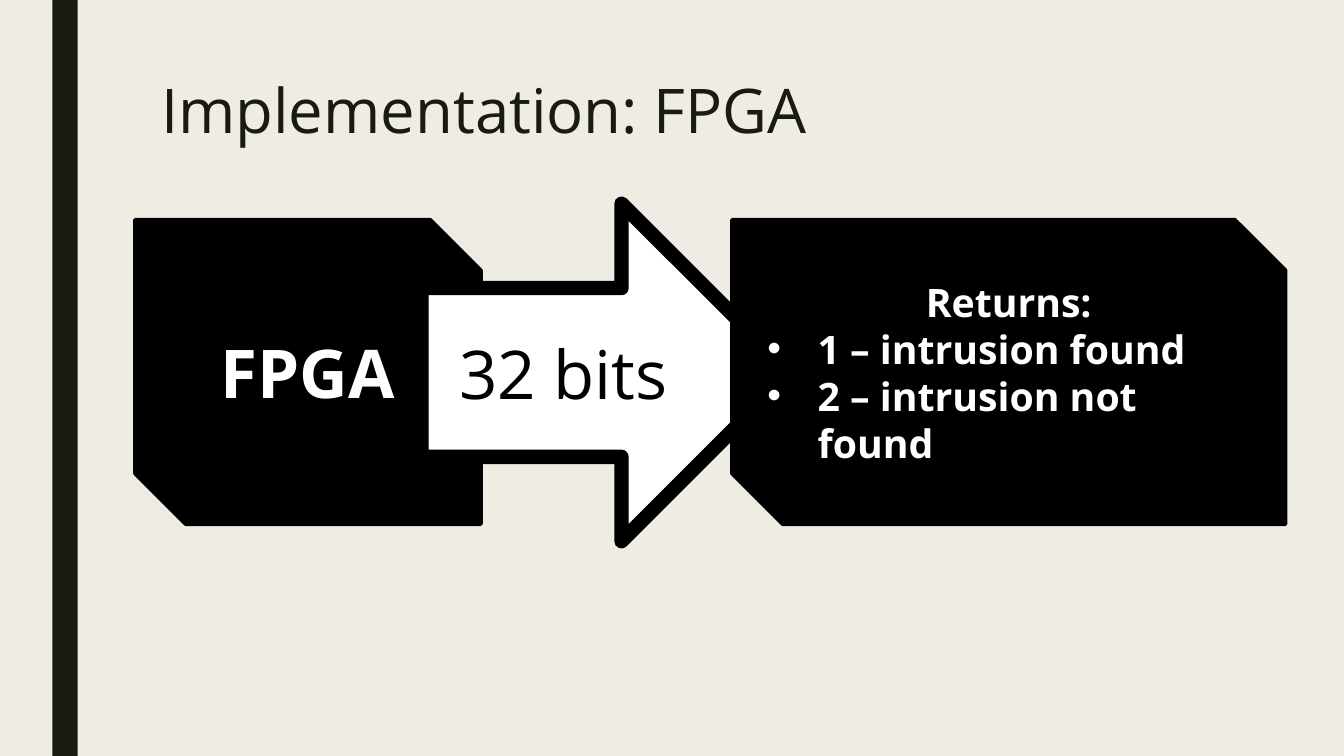
from pptx import Presentation
from pptx.dml.color import RGBColor
from pptx.enum.shapes import MSO_SHAPE
from pptx.enum.text import MSO_ANCHOR, MSO_AUTO_SIZE, PP_ALIGN
from pptx.oxml.ns import qn
from pptx.util import Inches, Pt
from lxml.etree import SubElement

"""Build the FPGA implementation slide."""

CREAM = RGBColor(0xEF, 0xED, 0xE3)
DARK = RGBColor(0x19, 0x1B, 0x0E)
BLACK = RGBColor(0, 0, 0)
WHITE = RGBColor(255, 255, 255)
FONT = "Open Sans"

TITLE = "Implementation: FPGA"
SNIP, ARROW = MSO_SHAPE.SNIP_2_DIAG_RECTANGLE, MSO_SHAPE.RIGHT_ARROW
STEPS = [
    (SNIP, (1.34, 2.18, 3.43, 3.02), BLACK, 2.75, WHITE, 48, True, "FPGA", []),
    (ARROW, (4.18, 2.02, 3.66, 3.35), WHITE, 10.25, BLACK, 48, False, "32 bits", []),
    (SNIP, (7.26, 2.18, 5.49, 3.02), BLACK, 2.75, WHITE, 28, True, "Returns:",
     ["1 – intrusion found", "2 – intrusion not found"]),
]


def style(para, size, color, bold=False):
    for run in para.runs:
        font = run.font
        font.name, font.size, font.bold = FONT, Pt(size), bold
        font.color.rgb = color


def bullet(para):
    para.alignment = PP_ALIGN.LEFT
    props = para._p.get_or_add_pPr()
    props.set("marL", str(Inches(0.5)))
    props.set("indent", str(Inches(-0.5)))
    SubElement(props, qn("a:buFont")).set("typeface", "Arial")
    SubElement(props, qn("a:buChar")).set("char", "•")


def add_box(kind, box, fill):
    shape = slide.shapes.add_shape(kind, *map(Inches, box))
    shape.shadow.inherit = False
    shape.fill.solid()
    shape.fill.fore_color.rgb = fill
    return shape


def add_step(kind, box, fill, width, ink, size, bold, head, items):
    shape = add_box(kind, box, fill)
    shape.line.color.rgb = BLACK
    shape.line.width = Pt(width)
    SubElement(shape.line._get_or_add_ln(), qn("a:round"))
    frame = shape.text_frame
    frame.word_wrap = True
    frame.vertical_anchor = MSO_ANCHOR.MIDDLE
    frame.text = head
    frame.paragraphs[0].alignment = PP_ALIGN.CENTER
    for item in items:
        para = frame.add_paragraph()
        para.text = item
        bullet(para)
    for para in frame.paragraphs:
        style(para, size, ink, bold)


deck = Presentation()
deck.slide_width, deck.slide_height = Inches(13.33), Inches(7.5)
slide = deck.slides.add_slide(deck.slide_layouts[5])
slide.background.fill.solid()
slide.background.fill.fore_color.rgb = CREAM

add_box(MSO_SHAPE.RECTANGLE, (0.52, 0, 0.25, 7.5), DARK).line.fill.background()

title = slide.shapes.title
title.left, title.top, title.width, title.height = map(Inches, (1.5, 0.75, 10.5, 1.62))
frame = title.text_frame
frame.text = TITLE
frame.auto_size = MSO_AUTO_SIZE.NONE
frame.vertical_anchor = MSO_ANCHOR.TOP
para = frame.paragraphs[0]
para.alignment = PP_ALIGN.LEFT
para.line_spacing = 0.89
style(para, 44, DARK)

for step in STEPS:
    add_step(*step)

deck.save("out.pptx")
